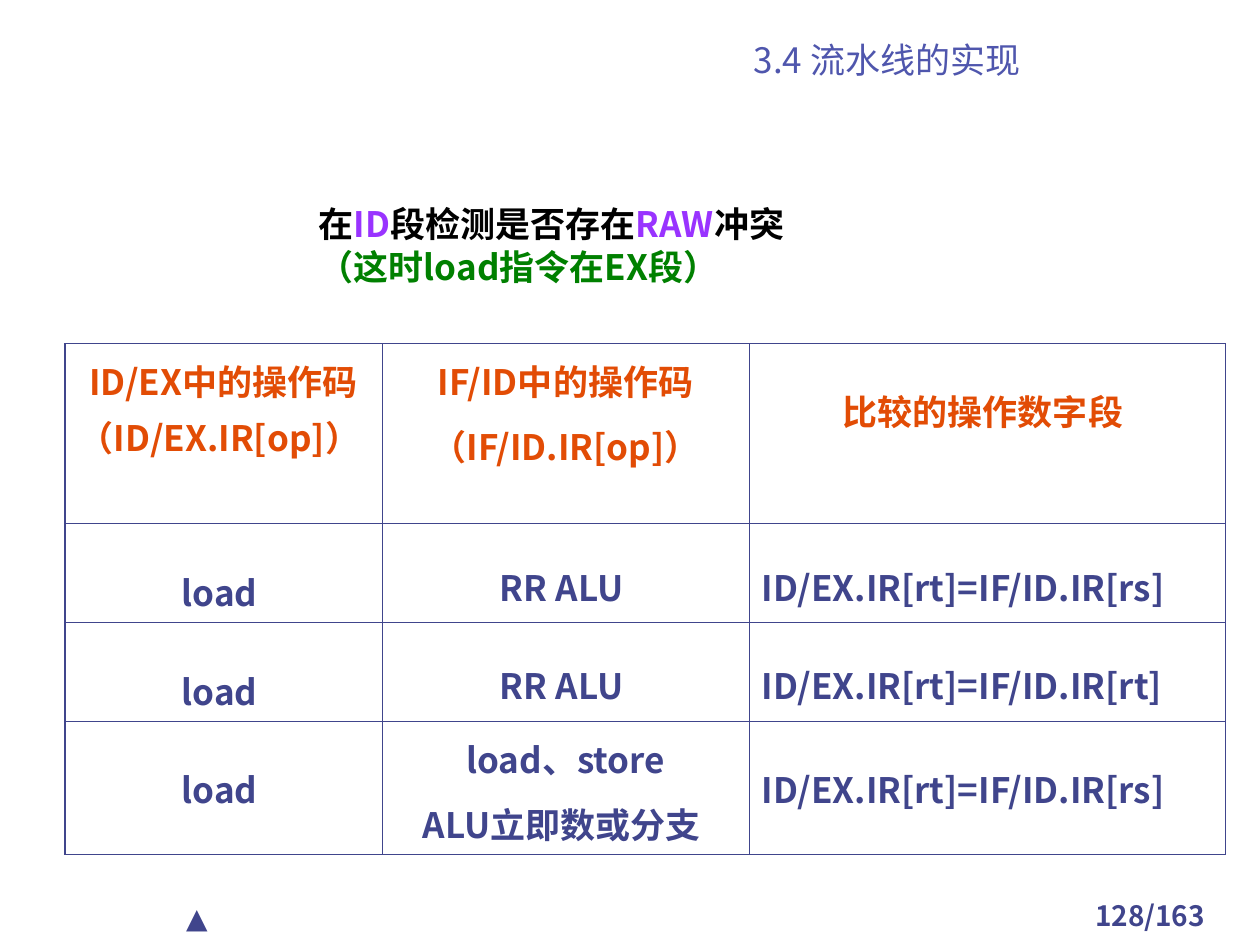
from dataclasses import dataclass

from lxml.etree import SubElement
from pptx import Presentation
from pptx.dml.color import RGBColor
from pptx.enum.text import MSO_ANCHOR, MSO_AUTO_SIZE, PP_ALIGN
from pptx.oxml.ns import qn
from pptx.util import Pt


@dataclass(frozen=True)
class Theme:
    font: str = "Noto Sans CJK SC"
    symbol_font: str = "Roboto"
    title: str = "4F56AD"
    navy: str = "40458C"
    header: str = "E24C05"
    black: str = "000000"
    purple: str = "9933FF"
    green: str = "008000"
    body_size: int = 20
    gap_size: int = 24
    footer_size: int = 16
    thin: float = 0.45
    thick: float = 1.08


THEME = Theme()

HEADERS = [
    (["ID/EX中的操作码 （ID/EX.IR[op]） "], 1.1),
    (["IF/ID中的操作码", "（IF/ID.IR[op]）"], 1.1),
    (["比较的操作数字段 "], 1.7),
]
# Each cell: its lines and its line spacing
RULES = [
    [(["load "], 1.7), (["RR ALU "], 1.6), (["ID/EX.IR[rt]=IF/ID.IR[rs]"], 1.6)],
    [(["load "], 1.7), (["RR ALU "], 1.6), (["ID/EX.IR[rt]=IF/ID.IR[rt]"], 1.6)],
    [(["load "], 1.7), (["load、store", "ALU立即数或分支 "], 1.1),
     (["ID/EX.IR[rt]=IF/ID.IR[rs]"], 1.7)],
]
COLUMN_WIDTHS = [181.5, 209.5, 272]
ROW_HEIGHTS = [103, 56.5, 56.5, 76]


def style_font(font, color, size=THEME.body_size, bold=True, name=THEME.font):
    font.name, font.size, font.bold = name, Pt(size), bold
    font.color.rgb = RGBColor.from_string(color)


def style_paragraph(paragraph, color, **options):
    """Style a whole paragraph, Chinese characters included."""
    style_font(paragraph.font, color, **options)
    properties = paragraph._p.get_or_add_pPr().find(qn("a:defRPr"))
    SubElement(properties, qn("a:ea"), typeface=paragraph.font.name)


def add_text_box(slide, box):
    frame = slide.shapes.add_textbox(*map(Pt, box)).text_frame
    frame.word_wrap = True
    return frame


def add_title(slide, box):
    title = slide.shapes.title
    title.left, title.top, title.width, title.height = map(Pt, box)
    frame = title.text_frame
    frame.text = "3.4 流水线的实现"
    frame.auto_size = MSO_AUTO_SIZE.NONE
    frame.vertical_anchor = MSO_ANCHOR.BOTTOM
    frame.paragraphs[0].alignment = PP_ALIGN.CENTER
    style_paragraph(frame.paragraphs[0], THEME.title, bold=False)


def add_statement(slide, box):
    frame = add_text_box(slide, box)
    lines = [
        [("在", THEME.black), ("ID", THEME.purple), ("段检测是否存在", THEME.black),
         ("RAW", THEME.purple), ("冲突", THEME.black)],
        [("（这时load指令在EX段）", THEME.green)],
    ]
    for index, line in enumerate(lines):
        paragraph = frame.add_paragraph() if index else frame.paragraphs[0]
        paragraph._p.get_or_add_pPr().set("marL", str(Pt(72)))
        for text, color in line:
            run = paragraph.add_run()
            run.text = text
            style_font(run.font, color)
            SubElement(run.font._element, qn("a:ea"), typeface=THEME.font)
    # A larger closing space sets the height of the first line
    closing = frame.paragraphs[0].add_run()
    closing.text = " "
    style_font(closing.font, THEME.purple, size=THEME.gap_size, bold=False)


def set_borders(cell, left_width):
    properties = cell._tc.get_or_add_tcPr()
    widths = {"lnL": left_width, "lnR": THEME.thin, "lnT": THEME.thin, "lnB": THEME.thin}
    for side, width in widths.items():
        line = SubElement(properties, qn(f"a:{side}"), w=str(Pt(width)))
        fill = SubElement(line, qn("a:solidFill"))
        SubElement(fill, qn("a:srgbClr"), val=THEME.navy)


def fill_cell(cell, lines, spacing, color, alignment):
    cell.text = "\n".join(lines)
    for paragraph in cell.text_frame.paragraphs:
        paragraph.alignment = alignment
        paragraph.line_spacing = spacing
        paragraph.space_before = Pt(5)
        style_paragraph(paragraph, color)


def add_rule_table(slide, box):
    rows = [HEADERS] + RULES
    table = slide.shapes.add_table(len(rows), len(HEADERS), *map(Pt, box)).table
    table.first_row = table.horz_banding = False
    for column, width in zip(table.columns, COLUMN_WIDTHS):
        column.width = Pt(width)
    for row, height in zip(table.rows, ROW_HEIGHTS):
        row.height = Pt(height)
    for row_index, row in enumerate(rows):
        for column_index, (lines, spacing) in enumerate(row):
            cell = table.cell(row_index, column_index)
            is_header = row_index == 0
            is_comparison = column_index == 2 and not is_header
            fill_cell(cell, lines, spacing,
                      THEME.header if is_header else THEME.navy,
                      PP_ALIGN.LEFT if is_comparison else PP_ALIGN.CENTER)
            set_borders(cell, THEME.thin if column_index else THEME.thick)
            cell.fill.background()
            cell.margin_left = cell.margin_right = Pt(7.2)
            cell.margin_top = cell.margin_bottom = Pt(3.6)


def add_footer(slide, box):
    left, top, width, height = box
    part_width = 102

    # Marker at the left
    marker = add_text_box(slide, (left, top + 1.5, part_width, height)).paragraphs[0]
    marker.text = "▲"
    marker.space_before = Pt(10)
    style_paragraph(marker, THEME.navy, size=THEME.footer_size, bold=False,
                    name=THEME.symbol_font)

    # Page number at the right
    number_box = (left + width - part_width, top, part_width, height)
    number = add_text_box(slide, number_box).paragraphs[0]
    number.text = "128/163"
    number.alignment = PP_ALIGN.CENTER
    style_paragraph(number, THEME.navy, size=THEME.footer_size)


def main():
    presentation = Presentation()
    presentation.slide_width, presentation.slide_height = Pt(720), Pt(540)
    slide = presentation.slides.add_slide(presentation.slide_layouts[5])
    add_footer(slide, (99.25, 509.75, 609, 24))
    add_title(slide, (306, 19.5, 402, 30))
    add_rule_table(slide, (37, 196.25, sum(COLUMN_WIDTHS), sum(ROW_HEIGHTS)))
    add_statement(slide, (103, 108, 533, 91.5))
    presentation.save("out.pptx")


if __name__ == "__main__":
    main()
